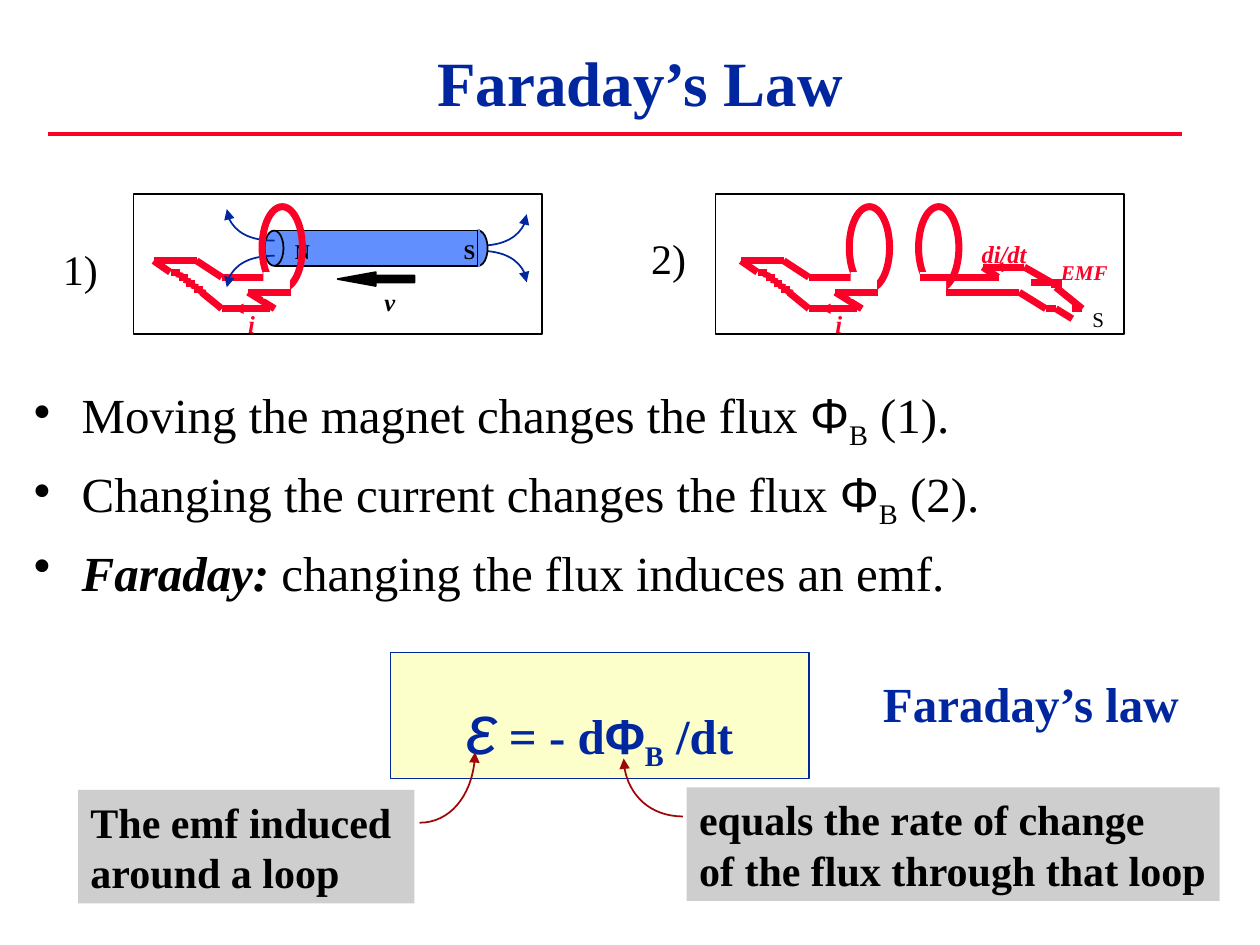
from dataclasses import dataclass
from itertools import pairwise

from lxml.etree import SubElement
from pptx import Presentation
from pptx.dml.color import RGBColor
from pptx.enum.shapes import MSO_CONNECTOR as Connector, MSO_SHAPE as Shape
from pptx.enum.text import MSO_ANCHOR as Anchor, PP_ALIGN as Align
from pptx.oxml.ns import qn
from pptx.util import Inches, Pt


@dataclass(frozen=True)
class Theme:
    serif: str = "Times New Roman"
    sans: str = "Arial"
    navy: str = "00279F"
    red: str = "FC0128"
    dark_red: str = "9F060B"
    black: str = "000000"
    white: str = "FFFFFF"
    magnet: str = "618FFD"
    cream: str = "FDFFCA"
    grey: str = "CECECE"
    title: int = 36
    symbol: int = 40
    body: int = 28
    note: int = 24
    label: int = 14
    small: int = 12
    wire: float = 4
    thin: float = 1


THEME = Theme()
TEXT_INSETS = (0.1, 0.05)
LABEL_INSETS = (0.05, 0.03)


@dataclass(frozen=True)
class Span:
    text: str
    size: int = THEME.body
    color: str = THEME.black
    font: str = THEME.serif
    bold: bool = False
    italic: bool = False
    subscript: bool = False


@dataclass(frozen=True)
class Wire:
    """A straight line; an arrowhead, if any, sits at its start."""
    start: tuple[float, float]
    end: tuple[float, float]
    color: str = THEME.red
    width: float = THEME.wire
    arrow: bool = False


# Basic drawing
def add_arrowhead(shape) -> None:
    SubElement(shape.line._get_or_add_ln(), qn("a:headEnd"), type="triangle")


def draw_wire(shapes, wire: Wire) -> None:
    line = shapes.add_connector(Connector.STRAIGHT, *map(Inches, wire.start + wire.end))
    line.line.color.rgb = RGBColor.from_string(wire.color)
    line.line.width = Pt(wire.width)
    SubElement(line._element.spPr, qn("a:effectLst"))
    if wire.arrow:
        add_arrowhead(line)


def draw_shape(shapes, kind, at: tuple, fill: str | None = None,
               line: str | None = None, width: float = THEME.thin):
    shape = shapes.add_shape(kind, *map(Inches, at))
    shape.shadow.inherit = False
    if fill:
        shape.fill.solid()
        shape.fill.fore_color.rgb = RGBColor.from_string(fill)
    else:
        shape.fill.background()
    if line:
        shape.line.color.rgb = RGBColor.from_string(line)
        shape.line.width = Pt(width)
    else:
        shape.line.fill.background()
    return shape


def draw_curve(shapes, tip: tuple, base: tuple, color: str) -> None:
    """Quarter ellipse, vertical at its arrow tip and level at its base."""
    builder = shapes.build_freeform(Inches(tip[0]), Inches(tip[1]))
    builder.add_line_segments([tuple(map(Inches, base))], close=False)
    curve = builder.convert_to_shape()
    curve.shadow.inherit = False
    curve.fill.background()
    curve.line.color.rgb = RGBColor.from_string(color)
    curve.line.width = Pt(THEME.thin)
    add_arrowhead(curve)
    outline = next(curve._element.iter(qn("a:path")))
    (x1, y1), (x2, y2) = [(int(point.get("x")), int(point.get("y")))
                          for point in outline.iter(qn("a:pt"))]
    outline.remove(outline[-1])
    bezier = SubElement(outline, qn("a:cubicBezTo"))
    controls = [(x1, y1 + 0.55 * (y2 - y1)), (x2 + 0.55 * (x1 - x2), y2), (x2, y2)]
    for x, y in controls:
        SubElement(bezier, qn("a:pt"), x=str(round(x)), y=str(round(y)))


# Text
def write(box, paras: list[list[Span]], insets=TEXT_INSETS, wrap=False,
          anchor=Anchor.TOP, align=Align.LEFT, indent=None, bullet=False,
          line_spacing=None, gap=0) -> None:
    frame = box.text_frame
    side, top = map(Inches, insets)
    frame_format = {"margin_left": side, "margin_right": side, "margin_top": top,
                    "margin_bottom": top, "word_wrap": wrap, "vertical_anchor": anchor}
    for name, value in frame_format.items():
        setattr(frame, name, value)
    for index, spans in enumerate(paras):
        para = frame.add_paragraph() if index else frame.paragraphs[0]
        para.alignment = align
        para.line_spacing = line_spacing
        if index:
            para.space_before = Pt(gap)
        props = para._p.get_or_add_pPr()
        if indent:
            props.set("marL", str(Inches(indent)))
            props.set("indent", str(-Inches(indent) if bullet else 0))
        if bullet:
            tint = SubElement(props, qn("a:buClr"))
            SubElement(tint, qn("a:srgbClr"), val=THEME.black)
            SubElement(props, qn("a:buChar"), char="•")
        for span in spans:
            run = para.add_run()
            run.text = span.text
            run.font.color.rgb = RGBColor.from_string(span.color)
            font_format = {"name": span.font, "size": Pt(span.size),
                           "bold": span.bold, "italic": span.italic}
            for name, value in font_format.items():
                setattr(run.font, name, value)
            if span.subscript:
                run._r.get_or_add_rPr().set("baseline", "-25000")


def add_text(shapes, at: tuple, paras: list[list[Span]], **layout) -> None:
    write(shapes.add_textbox(*map(Inches, at)), paras, **layout)


def add_label(shapes, at: tuple, text: str, size=THEME.label, color=THEME.red,
              bold=True, italic=True) -> None:
    add_text(shapes, at, [[Span(text, size, color, bold=bold, italic=italic)]],
             insets=LABEL_INSETS)


def flux(**style) -> list[Span]:
    return [Span("Φ", font=THEME.sans, **style), Span("B", subscript=True, **style)]


# Diagrams
def draw_panel(shapes, left: float) -> None:
    draw_shape(shapes, Shape.RECTANGLE, (left, 1.54, 3.24, 1.11), THEME.white, THEME.black)


def draw_loop(shapes, left: float) -> None:
    draw_shape(shapes, Shape.OVAL, (left, 1.64, 0.32, 0.65), None, THEME.red, THEME.wire)
    draw_shape(shapes, Shape.RECTANGLE, (left + 0.01, 2.16, 0.21, 0.21), THEME.white)


def draw_circuit(shapes, left: float) -> None:
    """Resistor and leads of the loop that carries the induced current."""
    steps = [(0.14 + 0.06 * k + dx, 2.16 + 0.045 * k) for k in range(4) for dx in (0, 0.07)]
    leads = [((0.88, 2.2), (0.54, 2.2)), ((0.54, 2.2), (0.34, 2.07)),
             ((0.96, 2.45), (0.75, 2.32)), ((0.92, 2.45), (0.54, 2.45)),
             ((0.34, 2.07), (0, 2.07)), ((0.13, 2.16), (0, 2.07)),
             ((0.54, 2.45), (0.38, 2.32))]
    for (x1, y1), (x2, y2) in [*pairwise(steps + [(0.38, 2.34)]), *leads]:
        draw_wire(shapes, Wire((left + x1, y1), (left + x2, y2)))


def finish_circuit(shapes, left: float) -> None:
    draw_loop(shapes, left + 0.86)
    draw_wire(shapes, Wire((left + 1.09, 2.32), (left + 0.75, 2.32)))
    draw_wire(shapes, Wire((left + 0.63, 2.45), (left + 0.84, 2.45),
                           width=THEME.thin, arrow=True))
    add_label(shapes, (left + 0.7, 2.42, 0.16, 0.29), "i")


def draw_magnet_panel(shapes) -> None:
    draw_panel(shapes, 1.06)
    draw_circuit(shapes, 1.22)
    for tip_y, base_y in ((1.7, 1.95), (2.24, 1.99)):
        draw_curve(shapes, (4.18, tip_y), (3.8, base_y), THEME.navy)
    for kind, left, width in ((Shape.OVAL, 3.72, 0.15), (Shape.RECTANGLE, 2.18, 1.61),
                              (Shape.OVAL, 2.1, 0.15)):
        draw_shape(shapes, kind, (left, 1.83, width, 0.28), THEME.magnet, THEME.black)
    draw_wire(shapes, Wire((3.8, 1.82), (3.8, 2.12), THEME.magnet, THEME.thin))
    for pole, left in (("N", 2.29), ("S", 3.63)):
        add_label(shapes, (left, 1.86, 0.2, 0.25), pole, THEME.small, THEME.black, italic=False)
    for tip_y, base_y in ((2.28, 2.03), (1.66, 1.91)):
        draw_curve(shapes, (1.8, tip_y), (2.18, base_y), THEME.navy)
    finish_circuit(shapes, 1.22)
    motion = draw_shape(shapes, Shape.LEFT_ARROW, (2.68, 2.16, 0.61, 0.11),
                        THEME.black, THEME.black)
    motion.adjustments[1] = 2.75
    add_label(shapes, (3, 2.25, 0.19, 0.29), "v", color=THEME.black)


def draw_current_panel(shapes) -> None:
    draw_panel(shapes, 5.68)
    draw_circuit(shapes, 5.88)
    finish_circuit(shapes, 5.88)
    draw_loop(shapes, 7.29)
    supply = [((8.34, 2.24), (8.13, 2.12)), ((8.3, 2.45), (8.09, 2.32)),
              ((8.13, 2.12), (7.8, 2.12)), ((7.92, 2.2), (7.8, 2.12)),
              ((8.59, 2.45), (8.38, 2.28)), ((7.51, 2.32), (8.09, 2.32)),
              ((8.18, 2.24), (8.43, 2.24)), ((8.59, 2.45), (8.51, 2.45)),
              ((8.38, 2.45), (8.51, 2.53)), ((8.38, 2.45), (8.3, 2.45)),
              ((7.3, 2.2), (7.93, 2.2))]
    for start, end in supply:
        draw_wire(shapes, Wire(start, end))
    draw_wire(shapes, Wire((7.88, 2.12), (8.09, 2.12), width=THEME.thin, arrow=True))
    draw_wire(shapes, Wire((8.34, 2.28), (8.43, 2.28), width=THEME.thin))
    add_label(shapes, (7.74, 1.87, 0.46, 0.29), "di/dt")
    add_label(shapes, (8.62, 2.4, 0.19, 0.25), "S", THEME.small, THEME.black, False, False)
    add_label(shapes, (8.37, 2.03, 0.51, 0.25), "EMF", THEME.small)


def main() -> None:
    deck = Presentation()
    deck.slide_width, deck.slide_height = Inches(10), Inches(7.5)
    page = deck.slides.add_slide(deck.slide_layouts[6])
    shapes = page.shapes

    # Title and main points
    add_text(shapes, (0.83, 0.25, 8.5, 0.79),
             [[Span("Faraday’s Law", THEME.title, THEME.navy, bold=True)]],
             wrap=True, anchor=Anchor.MIDDLE, align=Align.CENTER)
    points = [[Span(f"{cause} changes the flux "), *flux(), Span(f" ({number}).")]
              for number, cause in enumerate(("Moving the magnet", "Changing the current"), 1)]
    points.append([Span("Faraday: ", bold=True, italic=True),
                   Span("changing the flux induces an emf.")])
    add_text(shapes, (0.17, 3, 9.69, 2), points, wrap=True, indent=0.38, bullet=True, gap=7)

    # Experiments
    draw_current_panel(shapes.add_group_shape().shapes)
    draw_magnet_panel(shapes.add_group_shape().shapes)
    draw_wire(shapes, Wire((0.38, 1.06), (9.38, 1.06), width=2.25))
    for text, left, top in (("1)", 0.4, 1.88), ("2)", 5.07, 1.8)):
        add_text(shapes, (left, top, 0.48, 0.5), [[Span(text, THEME.note)]])

    # Law and its reading
    strong = {"color": THEME.navy, "bold": True}
    law = draw_shape(shapes, Shape.RECTANGLE, (3.1, 5.18, 3.32, 1), THEME.cream, THEME.navy)
    write(law, [[Span("ε", THEME.symbol, THEME.navy, THEME.sans, italic=True),
                 Span(" = - d", **strong), *flux(**strong), Span(" /dt", **strong)]],
          wrap=True, anchor=Anchor.BOTTOM, indent=0.5, line_spacing=1.3)
    add_text(shapes, (6.91, 5.3, 2.56, 0.56), [[Span("Faraday’s law", **strong)]])
    notes = [((0.62, 6.27, 2.67, 0.9), ["The emf induced around a loop"], True),
             ((5.45, 6.25, 4.23, 0.9),
              ["equals the rate of change", "of the flux through that loop"], False)]
    for at, lines, wrap in notes:
        note = draw_shape(shapes, Shape.RECTANGLE, at, THEME.grey)
        write(note, [[Span(line, THEME.note, bold=True)] for line in lines], wrap=wrap)
    draw_curve(shapes, (3.77, 5.97), (3.33, 6.53), THEME.dark_red)
    draw_curve(shapes, (4.95, 6.02), (5.42, 6.48), THEME.dark_red)

    deck.save("out.pptx")


if __name__ == "__main__":
    main()
